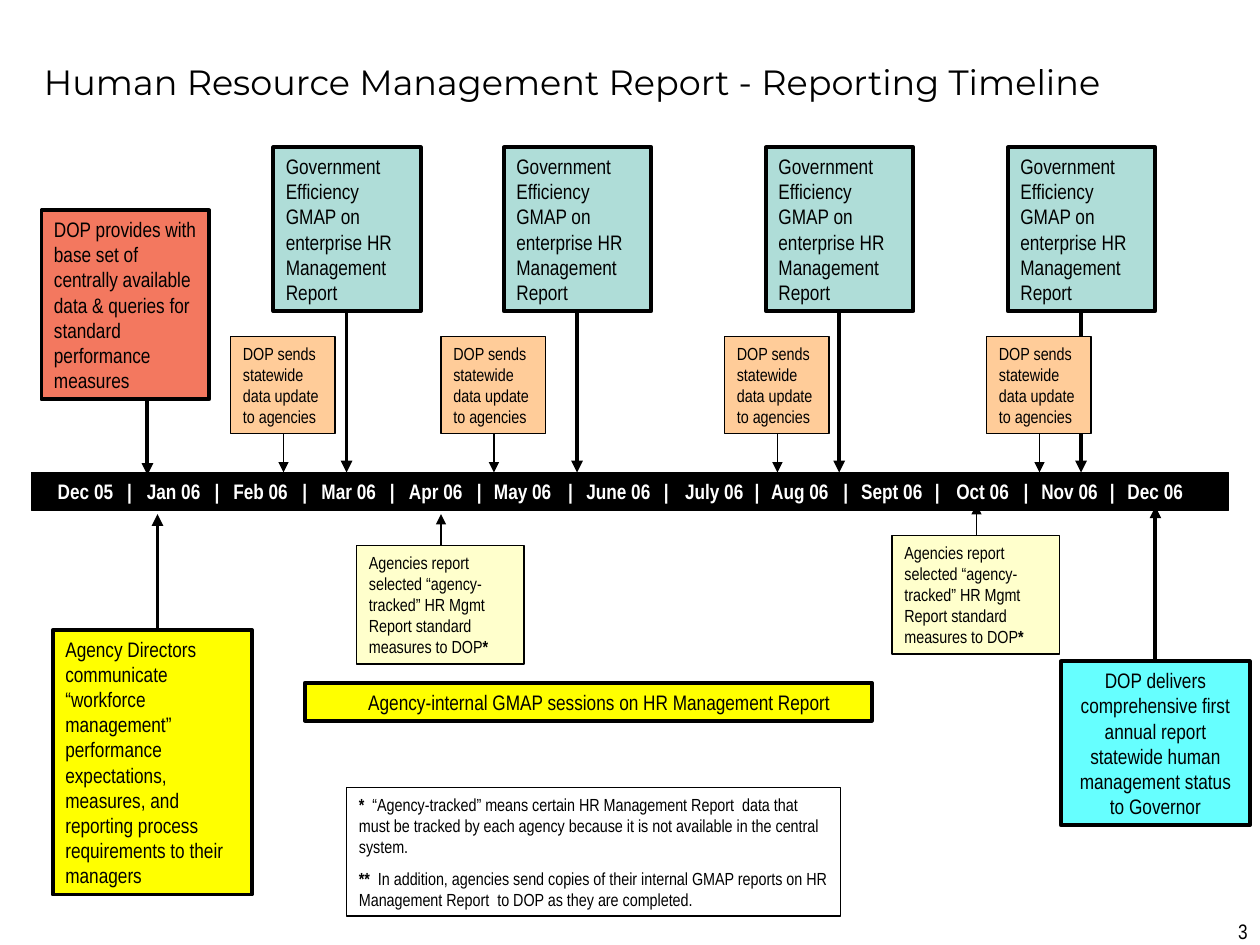
from lxml import etree
from pptx import Presentation
from pptx import util as u
from pptx.dml.color import RGBColor
from pptx.enum import shapes, text
from pptx.oxml.ns import qn

COLORS = {"ink": "000000", "paper": "FFFFFF", "base": "F3785F", "review": "AFDDD8",
          "update": "FFCC99", "agency": "FFFFCC", "action": "FFFF00", "annual": "66FFFF"}
BODY_FONT, TITLE_FONT = "Arial Narrow", "Montserrat"
THIN, THICK = 0.75, 2.25
SMALL, NORMAL = 10, 12
LEFT, CENTER, RIGHT = text.PP_ALIGN.LEFT, text.PP_ALIGN.CENTER, text.PP_ALIGN.RIGHT

TITLE = "Human Resource Management Report - Reporting Timeline"
PAGE_NUMBER = "3"

# Month label and its centre on the timeline
MONTHS = [("Dec 05", 0.68), ("Jan 06", 1.38), ("Feb 06", 2.07), ("Mar 06", 2.77),
          ("Apr 06", 3.46), ("May 06", 4.15), ("June 06", 4.91), ("July 06", 5.67),
          ("Aug 06", 6.35), ("Sept 06", 7.08), ("Oct 06", 7.8), ("Nov 06", 8.49),
          ("Dec 06", 9.17)]
BAR = (0.25, 3.75, 9.5, 0.3)
BAR_TOP = BAR[1]

REVIEW = "Government Efficiency GMAP on enterprise HR Management Report"
REVIEW_LEFTS = [2.17, 4, 6.08, 8]
UPDATE = "DOP sends statewide data update to agencies"
UPDATE_LEFTS = [1.83, 3.5, 5.75, 7.83]
AGENCY = [("Agencies report selected “agency-tracked” HR Mgmt Report standard measures to DOP", False),
          ("*", True)]
AGENCY_CORNERS = [(2.83, 4.33), (7.08, 4.25)]

BASE_SET = ("DOP provides with base set of centrally available data & queries for "
            "standard performance measures")
DIRECTORS = ("Agency Directors communicate “workforce management” performance expectations, "
             "measures, and reporting process requirements to their managers")
ANNUAL = ("DOP delivers comprehensive first annual report statewide human management "
          "status to Governor")
SESSIONS = "Agency-internal GMAP sessions on HR Management Report"
FOOTNOTES = [
    [("*", True), ("  “Agency-tracked” means certain HR Management Report  data that must be "
                   "tracked by each agency because it is not available in the central system.", False)],
    [("**", True), ("  In addition, agencies send copies of their internal GMAP reports on "
                    "HR Management Report  to DOP as they are completed.", False)],
]


def rgb(name):
    return RGBColor.from_string(COLORS[name])


def write(shape, paragraphs, size, color="ink", font=BODY_FONT, align=LEFT):
    """Fill a shape with paragraphs, each a list of (text, bold) spans."""
    frame = shape.text_frame
    frame.word_wrap = True
    frame.vertical_anchor = text.MSO_ANCHOR.TOP
    for index, spans in enumerate(paragraphs):
        para = frame.paragraphs[0] if index == 0 else frame.add_paragraph()
        para.alignment = align
        if index:
            para.space_before = u.Pt(size * 0.62)
        for content, bold in spans:
            span = para.add_run()
            span.text = content
            span.font.name, span.font.size, span.font.bold = font, u.Pt(size), bold
            span.font.color.rgb = rgb(color)
    return frame


def add_box(page, place, paragraphs, fill, weight=THICK, size=NORMAL, color="ink", align=LEFT):
    if isinstance(paragraphs, str):
        paragraphs = [[(paragraphs, False)]]
    box = page.shapes.add_shape(shapes.MSO_SHAPE.RECTANGLE, *map(u.Inches, place))
    box.shadow.inherit = False
    if fill:
        box.fill.solid()
        box.fill.fore_color.rgb = rgb(fill)
    else:
        box.fill.background()
    box.line.color.rgb = rgb("ink")
    box.line.width = u.Pt(weight)
    frame = write(box, paragraphs, size, color, align=align)
    frame.auto_size = text.MSO_AUTO_SIZE.SHAPE_TO_FIT_TEXT
    return box


def add_arrow(page, x, start, end, weight=THICK):
    arrow = page.shapes.add_connector(shapes.MSO_CONNECTOR.STRAIGHT, u.Inches(x), u.Inches(start),
                                      u.Inches(x), u.Inches(end))
    arrow.line.color.rgb = rgb("ink")
    arrow.line.width = u.Pt(weight)
    etree.SubElement(arrow.line._get_or_add_ln(), qn("a:tailEnd"), type="triangle")
    etree.SubElement(arrow._element.spPr, qn("a:effectLst"))


def add_label(page, place, content, size, font=BODY_FONT, align=LEFT):
    label = page.shapes.add_textbox(*map(u.Inches, place))
    return write(label, [[(content, False)]], size, font=font, align=align)


def add_timeline(page):
    """Centre each month on its tab stop, with a divider midway to the next."""
    centers = [center for _, center in MONTHS]
    dividers = [(a + b) / 2 for a, b in zip(centers, centers[1:])]
    content = "\t" + "\t|\t".join(month for month, _ in MONTHS)
    bar = add_box(page, BAR, [[(content, True)]], "ink", THIN, color="paper")
    properties = bar.text_frame.paragraphs[0]._p.get_or_add_pPr()
    stops = etree.SubElement(properties, qn("a:tabLst"))
    text_left = BAR[0] + 0.1
    for x in sorted(centers + dividers):
        etree.SubElement(stops, qn("a:tab"), pos=str(u.Inches(x - text_left)), algn="ctr")


def main():
    deck = Presentation()
    deck.slide_width, deck.slide_height = u.Inches(10), u.Inches(7.5)
    page = deck.slides.add_slide(deck.slide_layouts[6])

    title = add_label(page, (0.25, 0.3, 9.25, 0.7), TITLE, 20, TITLE_FONT)
    title.vertical_anchor = text.MSO_ANCHOR.MIDDLE
    add_timeline(page)

    # Above the timeline
    add_arrow(page, 1.17, 3, BAR_TOP + 0.02)
    add_box(page, (0.33, 1.67, 1.33, 1.5), BASE_SET, "base")
    for left in REVIEW_LEFTS:
        add_arrow(page, left + 0.58, 2.25, BAR_TOP)
        add_box(page, (left, 1.17, 1.17, 1.3), REVIEW, "review")
    for left in UPDATE_LEFTS:
        add_arrow(page, left + 0.42, 3.42, BAR_TOP, THIN)
        add_box(page, (left, 2.67, 0.83, 0.77), UPDATE, "update", THIN, SMALL)

    # Below the timeline
    for left, top in AGENCY_CORNERS:
        add_arrow(page, left + 0.67, top, top - 0.25, THIN)
        add_box(page, (left, top, 1.33, 0.94), [AGENCY], "agency", THIN, SMALL)
    add_arrow(page, 1.25, 5, 4.08)
    add_box(page, (0.42, 5, 1.58, 2.1), DIRECTORS, "action")
    add_arrow(page, 9.17, 5.25, 4.02)
    add_box(page, (8.42, 5.25, 1.5, 1.3), ANNUAL, "annual", align=CENTER)
    sessions = add_box(page, (2.42, 5.42, 4.5, 0.3), SESSIONS, "action", align=CENTER)
    sessions.text_frame.margin_left = u.Inches(0.27)

    add_box(page, (2.75, 6.25, 3.92, 1.02), FOOTNOTES, None, THIN, SMALL)
    add_label(page, (7.67, 7.24, 2.33, 0.26), PAGE_NUMBER, NORMAL, align=RIGHT)
    deck.save("out.pptx")


if __name__ == "__main__":
    main()
